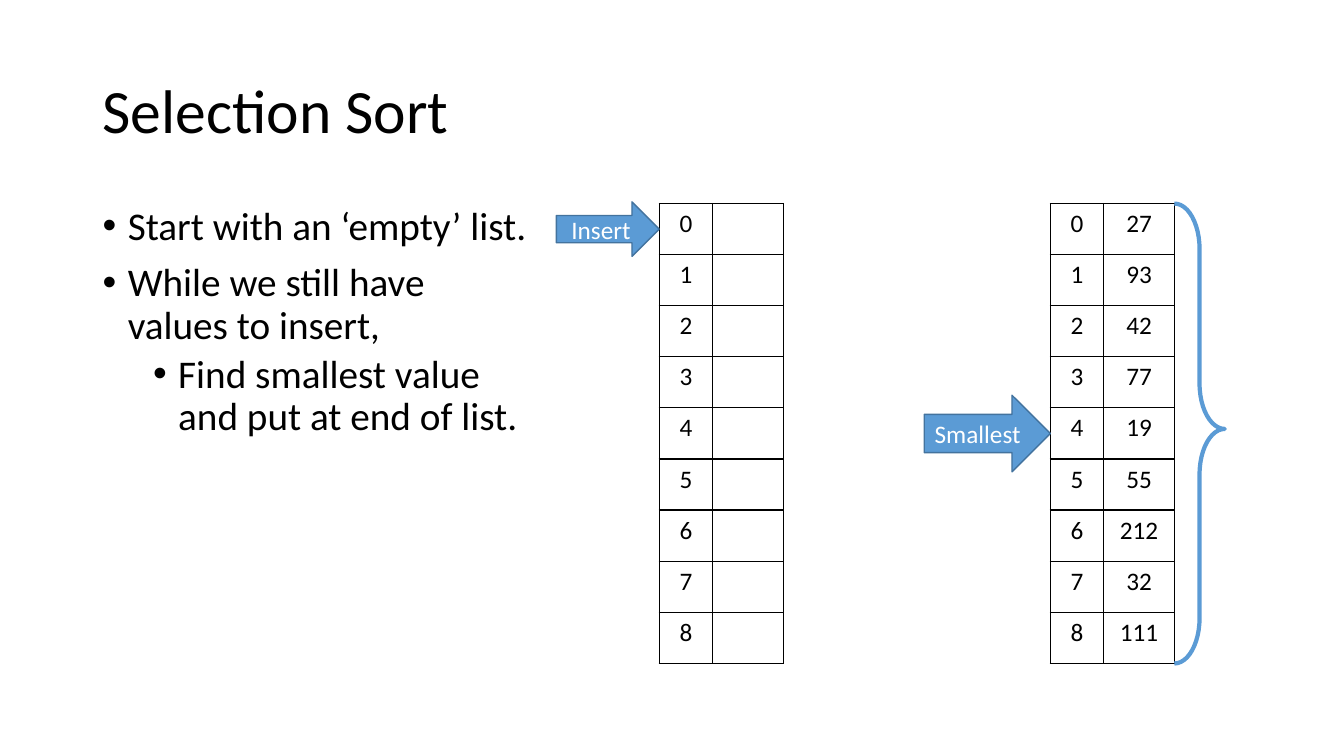
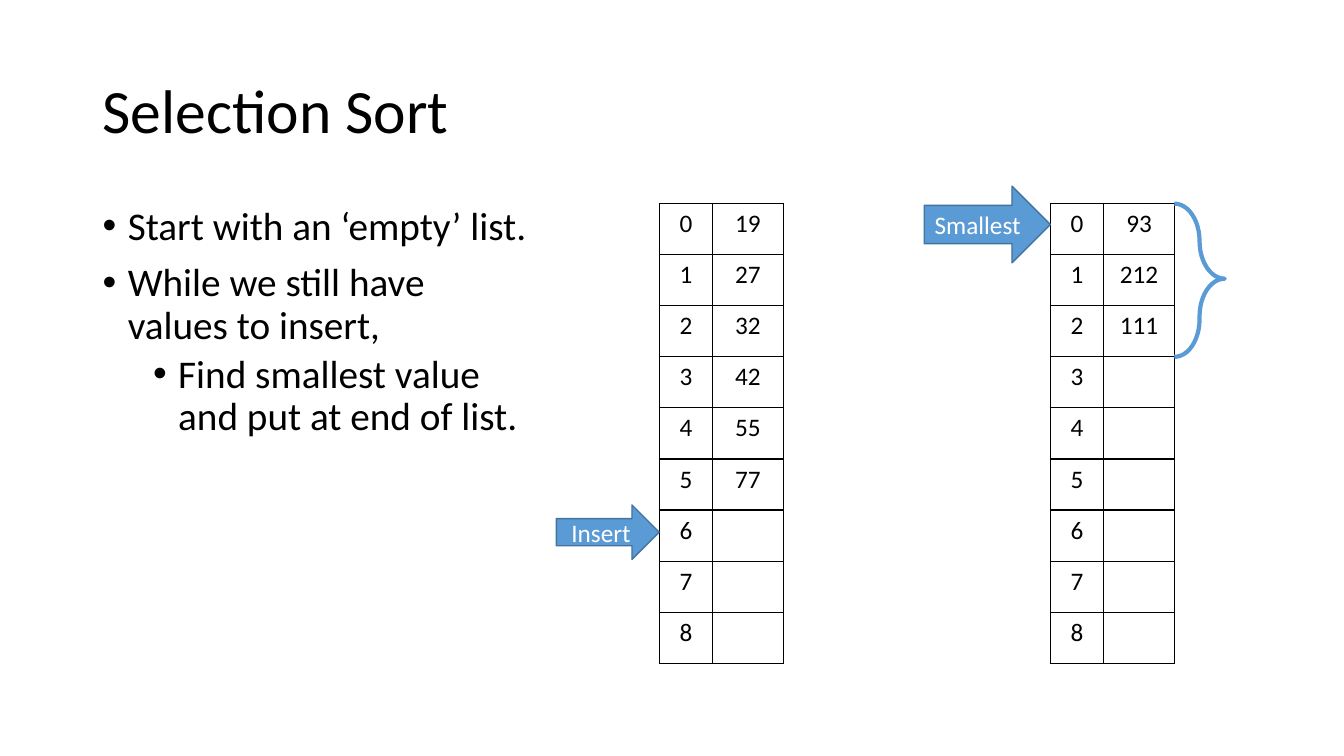
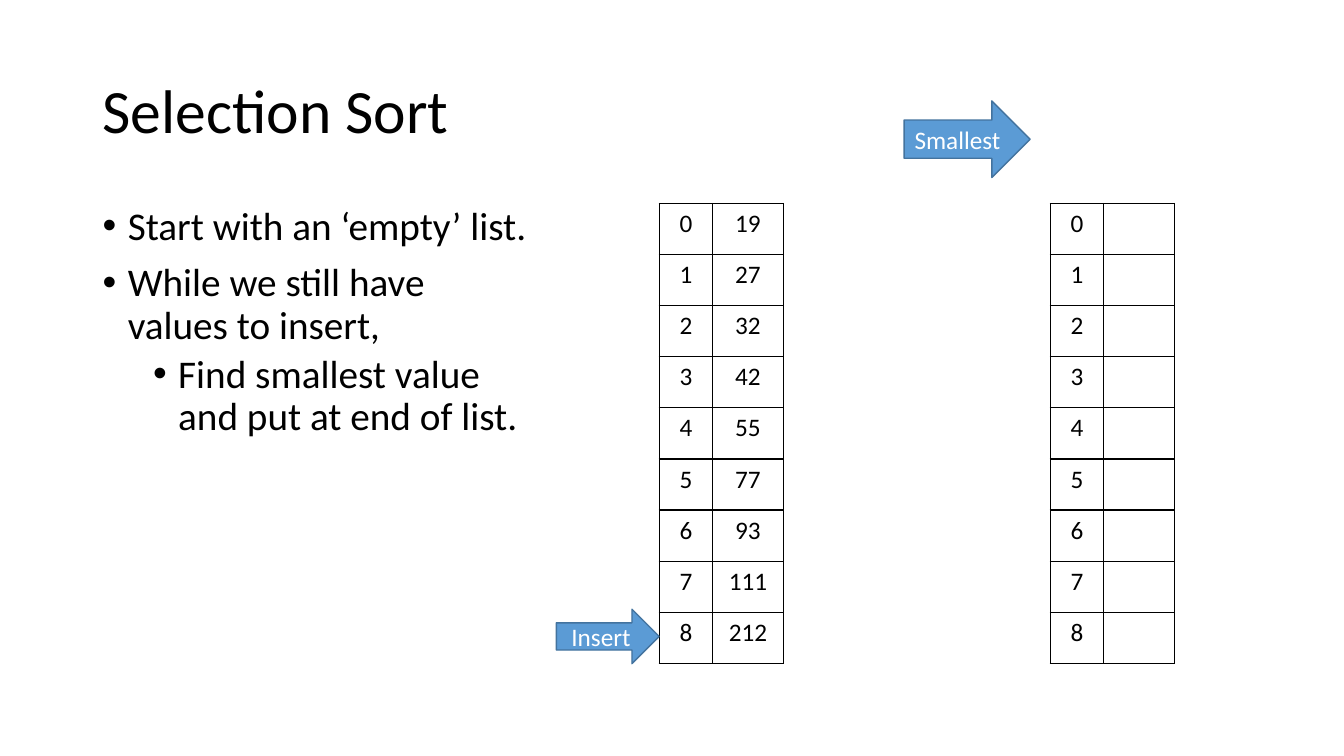
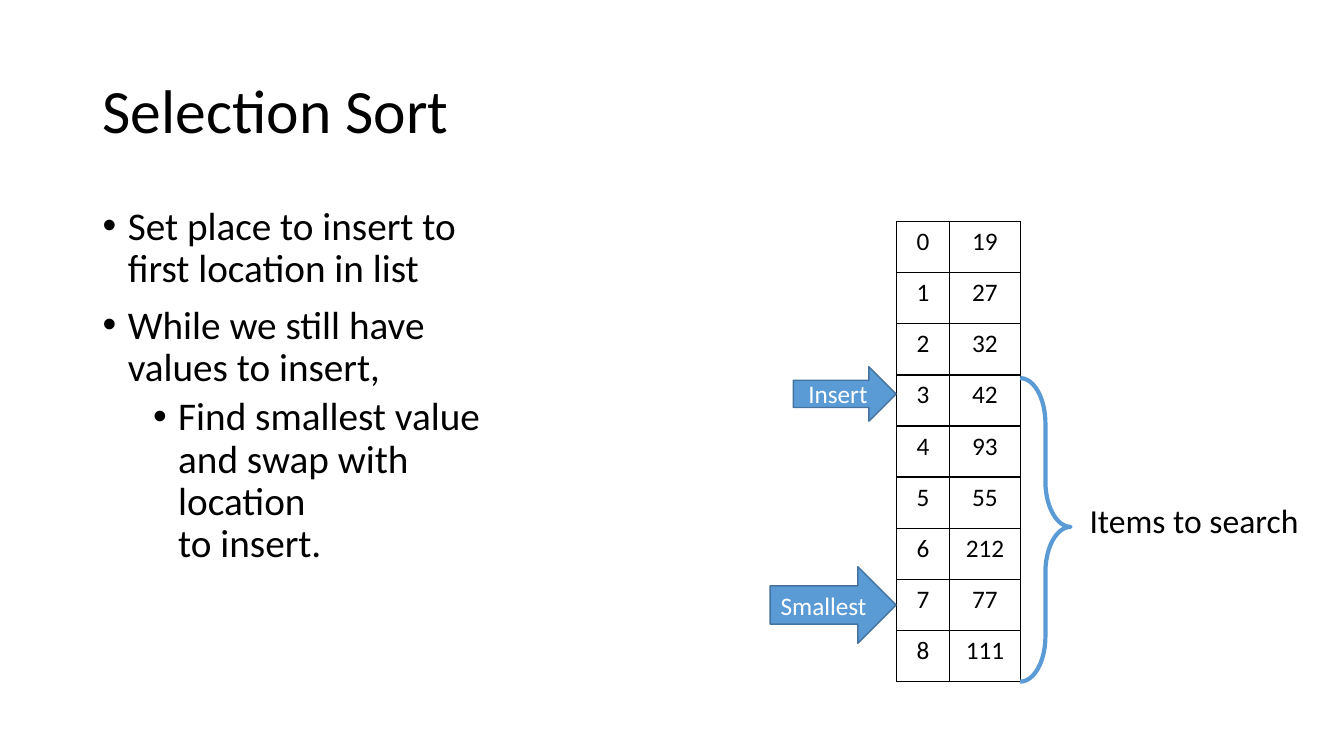
"""Build four slides that walk through selection sort."""
from dataclasses import dataclass

from lxml.etree import SubElement
from pptx import Presentation
from pptx.dml.color import RGBColor
from pptx.enum.shapes import MSO_SHAPE
from pptx.enum.text import MSO_ANCHOR, MSO_AUTO_SIZE, PP_ALIGN
from pptx.oxml.ns import qn
from pptx.util import Inches, Pt


@dataclass(frozen=True)
class Theme:
    font: str = "Calibri"
    ink: str = "000000"
    paper: str = "FFFFFF"
    accent: str = "5B9BD5"
    outline: str = "43739E"
    title_size: int = 44
    body_size: int = 28
    label_size: int = 24
    small_size: int = 18
    line_spacing: float = 0.9


THEME = Theme()
WIDTH, HEIGHT = Inches(13.33), Inches(7.5)


def across(percent):
    return round(WIDTH * percent / 100)


def down(percent):
    return round(HEIGHT * percent / 100)


LIST_TOP = down(26.93)
ROW_HEIGHT = down(6.76)
INDEX_WIDTH, VALUE_WIDTH = across(3.98), across(5.25)
LIST_WIDTH = INDEX_WIDTH + VALUE_WIDTH
SORTED_LEFT, UNSORTED_LEFT = across(49.05), across(78.15)
INSERT_SIZE = across(7.65), down(7.2)
SMALLEST_SIZE = across(9.38), down(10.13)
BRACE_WIDTH = across(3.75)
INDENT = Inches(0.25)

BUILD_STEPS = [
    ("Start with an ‘empty’ list.", 0),
    ("While we still have\vvalues to insert,", 0),
    ("Find smallest value\vand put at end of list.", 1),
]
SWAP_STEPS = [
    ("Set place to insert to\vfirst location in list", 0),
    ("While we still have\vvalues to insert,", 0),
    ("Find smallest value\vand swap with location\vto insert.", 1),
]


def color(value):
    return RGBColor.from_string(value)


def format_runs(paragraph, size, ink=THEME.ink):
    for run in paragraph.runs:
        run.font.name = THEME.font
        run.font.size = Pt(size)
        run.font.color.rgb = color(ink)


def add_text(slide, left, top, width, height, text, size):
    shape = slide.shapes.add_textbox(left, top, width, height)
    frame = shape.text_frame
    frame.word_wrap = True
    frame.text = text
    format_runs(frame.paragraphs[0], size)
    return frame


def add_title(slide, text):
    frame = add_text(slide, across(6.9), down(5.33), across(86.25), down(19.33),
                     text, THEME.title_size)
    frame.vertical_anchor = MSO_ANCHOR.MIDDLE
    frame.paragraphs[0].line_spacing = THEME.line_spacing


def add_bullet(paragraph, level):
    properties = paragraph._p.get_or_add_pPr()
    properties.set("marL", str(INDENT * (1 + 2 * level)))
    properties.set("indent", str(-INDENT))
    SubElement(properties, qn("a:buFont"), typeface="Arial")
    SubElement(properties, qn("a:buChar"), char="•")


def add_steps(slide, steps):
    frame = add_text(slide, across(6.9), down(26.67), across(33.6), down(63.47),
                     "", THEME.body_size)
    for number, (text, level) in enumerate(steps):
        paragraph = frame.add_paragraph() if number else frame.paragraphs[0]
        paragraph.text = text
        paragraph.level = level
        add_bullet(paragraph, level)
        paragraph.line_spacing = THEME.line_spacing
        if number:
            paragraph.space_before = Pt(5 if level else 10)
        format_runs(paragraph, THEME.body_size)


def border_cell(cell):
    properties = cell._tc.get_or_add_tcPr()
    for position, side in enumerate(("a:lnL", "a:lnR", "a:lnT", "a:lnB")):
        line = SubElement(properties, qn(side), w=str(Pt(1)))
        fill = SubElement(line, qn("a:solidFill"))
        SubElement(fill, qn("a:srgbClr"), val=THEME.ink)
        properties.insert(position, line)


def fill_cell(cell, text):
    cell.fill.solid()
    cell.fill.fore_color.rgb = color(THEME.paper)
    border_cell(cell)
    cell.text_frame.text = text
    paragraph = cell.text_frame.paragraphs[0]
    paragraph.alignment = PP_ALIGN.CENTER
    format_runs(paragraph, THEME.small_size)


def add_list(slide, left, values, top=LIST_TOP, length=9):
    table = slide.shapes.add_table(length, 2, left, top, LIST_WIDTH,
                                   ROW_HEIGHT * length).table
    table.first_row = table.horz_banding = False
    table.columns[0].width, table.columns[1].width = INDEX_WIDTH, VALUE_WIDTH
    for index in range(length):
        fill_cell(table.cell(index, 0), str(index))
        fill_cell(table.cell(index, 1), str(values[index]) if index < len(values) else "")


def add_arrow(slide, text, size, tip, row, top=LIST_TOP):
    width, height = size
    middle = top + (row + 0.5) * ROW_HEIGHT
    shape = slide.shapes.add_shape(MSO_SHAPE.RIGHT_ARROW, tip - width,
                                   round(middle - height / 2), width, height)
    shape.shadow.inherit = False
    shape.fill.solid()
    shape.fill.fore_color.rgb = color(THEME.accent)
    shape.line.color.rgb = color(THEME.outline)
    shape.line.width = Pt(1)
    frame = shape.text_frame
    frame.text = text
    frame.vertical_anchor = MSO_ANCHOR.MIDDLE
    frame.paragraphs[0].alignment = PP_ALIGN.CENTER
    format_runs(frame.paragraphs[0], THEME.small_size, THEME.paper)


def add_brace(slide, list_left, first_row, last_row, top=LIST_TOP):
    shape = slide.shapes.add_shape(
        MSO_SHAPE.RIGHT_BRACE, list_left + LIST_WIDTH, round(top + first_row * ROW_HEIGHT),
        BRACE_WIDTH, round((last_row - first_row) * ROW_HEIGHT))
    shape.adjustments[0], shape.adjustments[1] = 0.9, 0.49
    shape.shadow.inherit = False
    shape.fill.background()
    shape.line.color.rgb = color(THEME.accent)
    shape.line.width = Pt(3)


def add_sort_slide(presentation, steps):
    slide = presentation.slides.add_slide(presentation.slide_layouts[6])
    add_title(slide, "Selection Sort")
    add_steps(slide, steps)
    return slide


def add_two_list_slide(presentation, unsorted_values, sorted_values, insert_row,
                       smallest_row, smallest_tip=UNSORTED_LEFT):
    slide = add_sort_slide(presentation, BUILD_STEPS)
    add_list(slide, UNSORTED_LEFT, unsorted_values)
    add_list(slide, SORTED_LEFT, sorted_values)
    add_arrow(slide, "Insert", INSERT_SIZE, SORTED_LEFT, insert_row)
    add_arrow(slide, "Smallest", SMALLEST_SIZE, smallest_tip, smallest_row)
    if unsorted_values:
        add_brace(slide, UNSORTED_LEFT, 0, len(unsorted_values))


def add_swap_slide(presentation):
    slide = add_sort_slide(presentation, SWAP_STEPS)
    left, top = across(66.68), down(29.33)
    add_list(slide, left, [19, 27, 32, 42, 93, 55, 212, 77, 111], top)
    add_arrow(slide, "Smallest", SMALLEST_SIZE, left, 7, top)
    add_brace(slide, left, 3.06, 9, top)
    label = add_text(slide, across(80.33), down(65.47), across(17.18), down(6.67),
                     "Items to search", THEME.label_size)
    label.word_wrap = False
    label.auto_size = MSO_AUTO_SIZE.SHAPE_TO_FIT_TEXT
    add_arrow(slide, "Insert", INSERT_SIZE, left, 2.87, top)


def main():
    presentation = Presentation()
    presentation.slide_width, presentation.slide_height = WIDTH, HEIGHT
    values = [27, 93, 42, 77, 19, 55, 212, 32, 111]
    ordered = sorted(values)
    add_two_list_slide(presentation, values, [], 0, 4)
    add_two_list_slide(presentation, [93, 212, 111], ordered[:6], 5.93, -0.09)
    add_two_list_slide(presentation, [], ordered, 7.97, -1.76, UNSORTED_LEFT - across(1.5))
    add_swap_slide(presentation)
    presentation.save("out.pptx")


if __name__ == "__main__":
    main()
